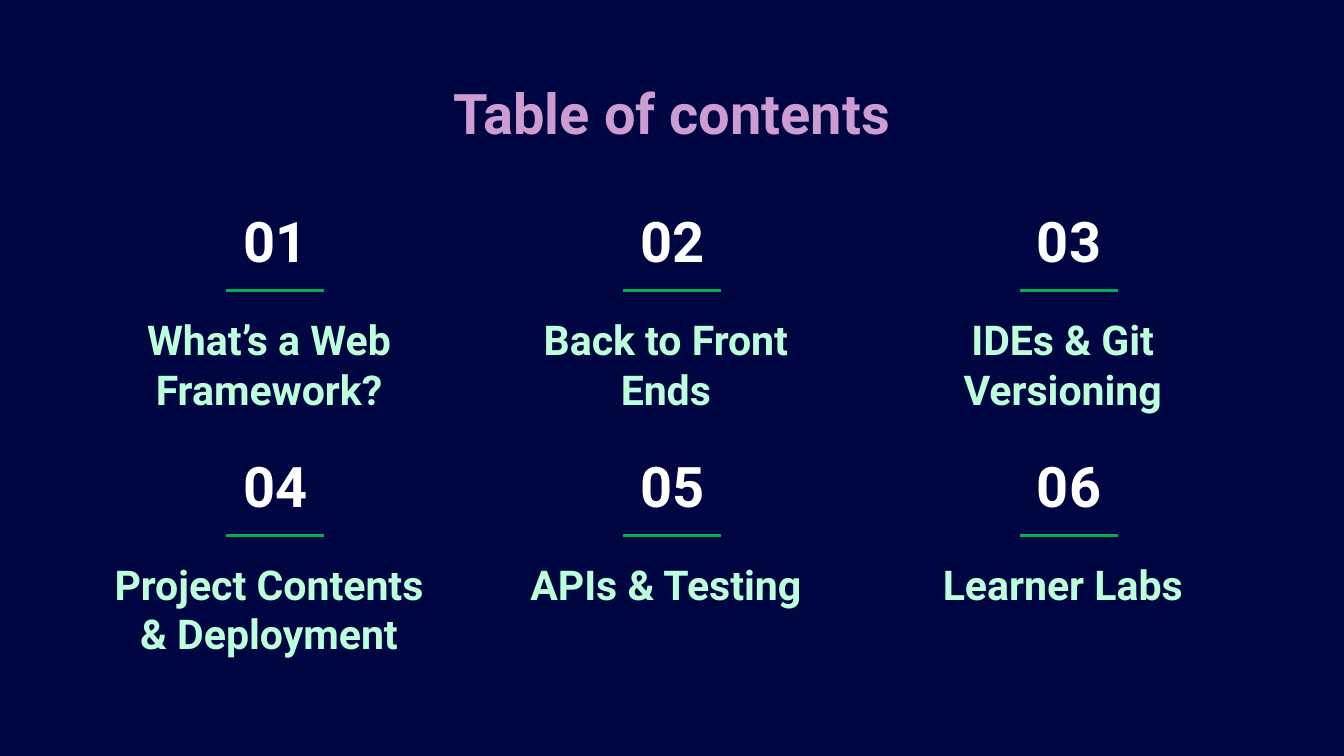
from pptx import Presentation
from pptx.dml.color import RGBColor
from pptx.enum.shapes import MSO_CONNECTOR as Link
from pptx.enum.text import MSO_ANCHOR as Anchor, PP_ALIGN as Align
from pptx.oxml.ns import qn
from pptx.util import Cm, Pt
from lxml.etree import SubElement

NAVY = RGBColor(0x00, 0x06, 0x41)
WHITE = RGBColor(0xFF, 0xFF, 0xFF)
GREEN = RGBColor(0x00, 0xB0, 0x50)
PINK = RGBColor(0xCD, 0x9C, 0xD0)
MINT = RGBColor(0xBC, 0xFF, 0xDB)
SKY = RGBColor(0x9C, 0xCA, 0xED)

TOPICS = [
    "What’s a Web Framework?",
    "Back to Front Ends",
    "IDEs & Git Versioning",
    "Project Contents & Deployment",
    "APIs & Testing",
    "Learner Labs",
]
COLS = 3
STEP_X, STEP_Y = 7.5, 4.63


def paint(font, colors):
    """Fill text with one colour, or a left-to-right gradient of two."""
    if len(colors) == 1:
        font.color.rgb = colors[0]
        return
    font.fill.gradient()
    font.fill.gradient_angle = 0
    for stop, color in zip(font.fill.gradient_stops, colors):
        stop.color.rgb = color


def add_text(slide, text, left, top, width, height, size, colors,
             anchor=Anchor.TOP):
    box = slide.shapes.add_textbox(Cm(left), Cm(top), Cm(width), Cm(height))
    frame = box.text_frame
    frame.word_wrap = True
    frame.vertical_anchor = anchor
    frame.margin_left = frame.margin_right = Cm(0.25)
    frame.margin_top = frame.margin_bottom = Cm(0.25)
    para = frame.paragraphs[0]
    para.alignment = Align.CENTER
    run = para.add_run()
    run.text = text
    run.font.name = "Roboto"
    run.font.size = Pt(size)
    run.font.bold = True
    paint(run.font, colors)


def add_rule(slide, left, top, width):
    rule = slide.shapes.add_connector(
        Link.STRAIGHT, Cm(left), Cm(top), Cm(left + width), Cm(top))
    rule.line.color.rgb = GREEN
    rule.line.width = Pt(1.5)
    SubElement(rule._element.spPr, qn("a:effectLst"))


def add_topic(slide, index, text):
    row, col = divmod(index, COLS)
    x, y = col * STEP_X, row * STEP_Y
    add_text(slide, f"{index + 1:02}", 4.19 + x, 3.68 + y, 2.03, 1.75,
             30, [WHITE], Anchor.BOTTOM)
    add_rule(slide, 4.28 + x, 5.49 + y, 1.85)
    add_text(slide, text, 1.76 + x, 5.7 + y, 6.65, 2.24, 22, [MINT, SKY])


def main():
    deck = Presentation()
    deck.slide_width, deck.slide_height = Cm(25.4), Cm(14.29)
    slide = deck.slides.add_slide(deck.slide_layouts[6])
    slide.background.fill.solid()
    slide.background.fill.fore_color.rgb = NAVY
    add_text(slide, "Table of contents", 2, 1.24, 21.4, 1.6, 30, [PINK, SKY])
    for index, text in enumerate(TOPICS):
        add_topic(slide, index, text)
    deck.save("out.pptx")


if __name__ == "__main__":
    main()
